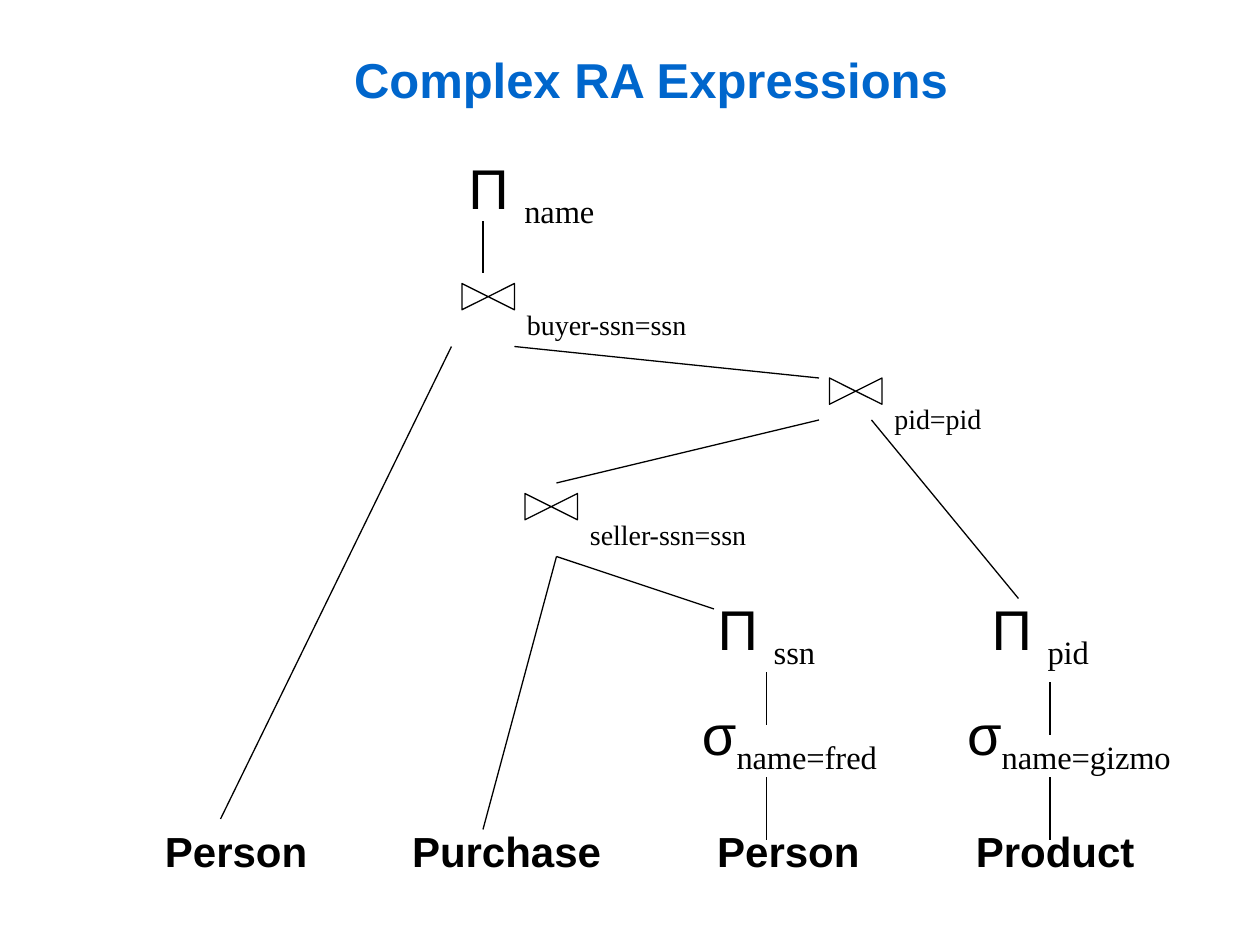
from lxml.etree import SubElement
from pptx import Presentation
from pptx.dml.color import RGBColor
from pptx.enum.shapes import MSO_CONNECTOR, MSO_SHAPE
from pptx.enum.text import MSO_ANCHOR, MSO_AUTO_SIZE, PP_ALIGN
from pptx.oxml.ns import qn
from pptx.util import Pt

COLORS = {"title": "0066CC", "ink": "000000"}
SANS, SERIF = "Arial", "Times New Roman"

presentation = Presentation()
presentation.slide_width, presentation.slide_height = Pt(720), Pt(540)
slide = presentation.slides.add_slide(presentation.slide_layouts[6])


def add_text(shapes, left, top, width, height, wrap=False, align=PP_ALIGN.LEFT):
    box = shapes.add_textbox(Pt(left), Pt(top), Pt(width), Pt(height))
    frame = box.text_frame
    frame.word_wrap = wrap
    frame.auto_size = MSO_AUTO_SIZE.NONE if wrap else MSO_AUTO_SIZE.SHAPE_TO_FIT_TEXT
    frame.vertical_anchor = MSO_ANCHOR.MIDDLE if wrap else MSO_ANCHOR.TOP
    frame.paragraphs[0].alignment = align
    return frame.paragraphs[0]


def add_run(paragraph, text, size, font, color="ink", bold=False):
    run = paragraph.add_run()
    run.text = text
    run.font.size, run.font.name, run.font.bold = Pt(size), font, bold
    run.font.color.rgb = RGBColor.from_string(COLORS[color])
    return run


# Title
title = add_text(slide.shapes, 66, 0, 612, 90, wrap=True, align=PP_ALIGN.CENTER)
add_run(title, "Complex RA Expressions", 28, SANS, "title", bold=True)

# Base relations: text, centre
for name, center in [("Person", 135), ("Purchase", 289.5), ("Person", 450.5), ("Product", 603)]:
    relation = add_text(slide.shapes, center - 65, 468, 130, 36, wrap=True, align=PP_ALIGN.CENTER)
    add_run(relation, name, 24, SANS, bold=True)

# Projections and selections: symbol, subscript, left, top, width
operators = [
    ("σ", "name=fred", 394, 396, 121),
    ("σ", "name=gizmo", 545.5, 396, 137),
    ("Π ", "pid", 559.5, 336, 71),
    ("Π ", "ssn", 403, 336, 71),
    ("Π ", "name", 260.5, 84, 87),
]
for symbol, subscript, left, top, width in operators:
    operator = add_text(slide.shapes, left, top, width, 51)
    add_run(operator, symbol, 32, SANS)
    run = add_run(operator, subscript, 32, SERIF)
    run.font._element.set("baseline", "-25000")

# Joins: condition, left and top of the bow tie, label width
joins = [
    ("seller-ssn=ssn", 307.5, 274.5, 104),
    ("pid=pid", 481.5, 208.5, 64),
    ("buyer-ssn=ssn", 271.5, 154.5, 106),
]
for condition, left, top, width in joins:
    group = slide.shapes.add_group_shape()
    bow_tie = group.shapes.add_shape(
        MSO_SHAPE.FLOWCHART_COLLATE, Pt(left), Pt(top), Pt(15), Pt(30))
    bow_tie.rotation = 270
    bow_tie.shadow.inherit = False
    bow_tie.fill.background()
    bow_tie.line.color.rgb = RGBColor.from_string(COLORS["ink"])
    bow_tie.line.width = Pt(0.75)
    label = add_text(group.shapes, left + 22.5, top + 17.5, width, 26.5)
    add_run(label, condition, 16, SERIF)

# Tree edges: start x, start y, end x, end y
edges = [
    (438, 480, 438, 444), (600, 480, 600, 444),
    (438, 414, 438, 384), (600, 420, 600, 390),
    (276, 474, 318, 318), (408, 348, 318, 318),
    (318, 276, 468, 240), (582, 342, 498, 240),
    (468, 216, 294, 198), (126, 468, 258, 198),
    (276, 156, 276, 126),
]
for edge in edges:
    connector = slide.shapes.add_connector(MSO_CONNECTOR.STRAIGHT, *map(Pt, edge))
    connector.line.color.rgb = RGBColor.from_string(COLORS["ink"])
    connector.line.width = Pt(0.75)
    SubElement(connector._element.spPr, qn("a:effectLst"))

presentation.save("out.pptx")
